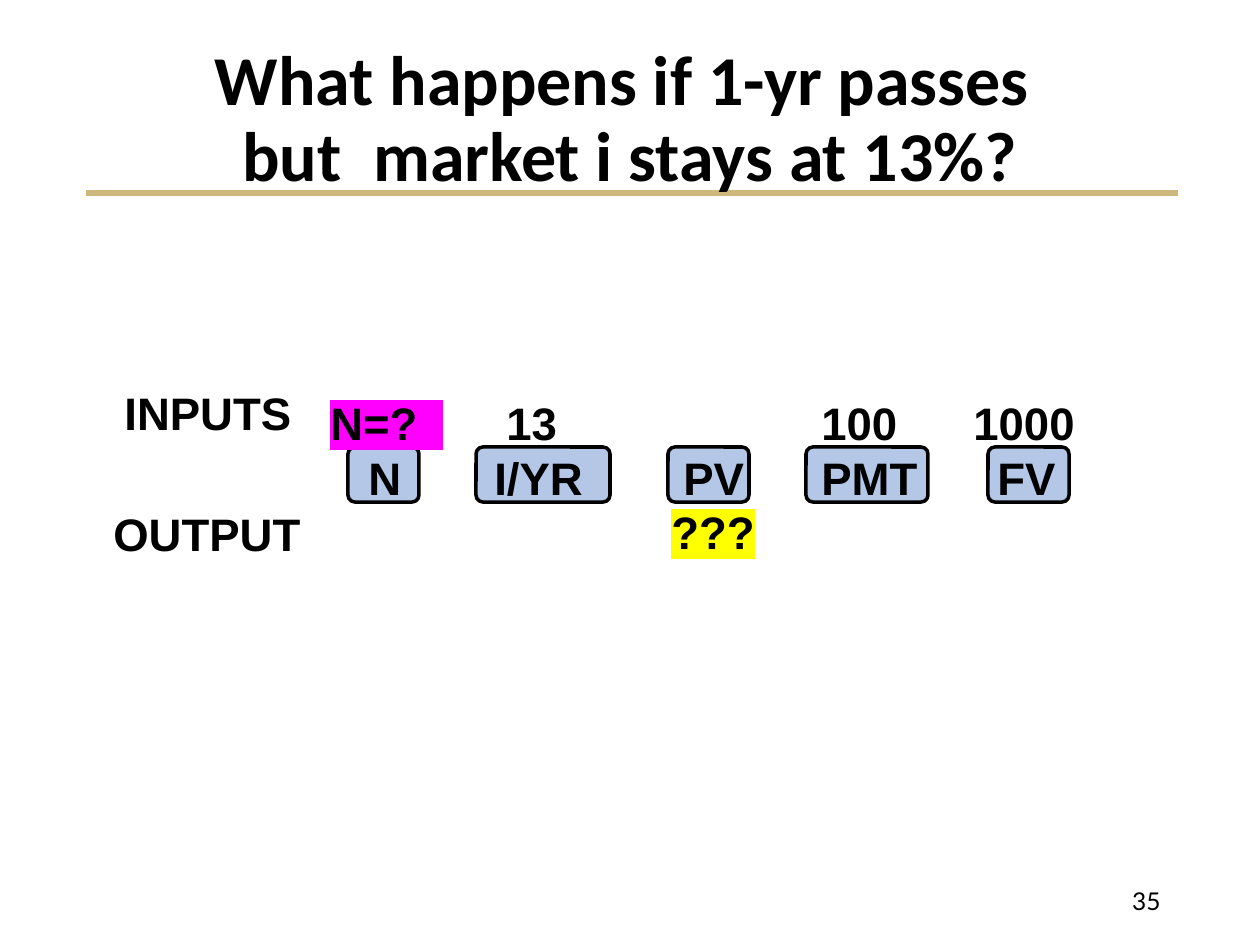
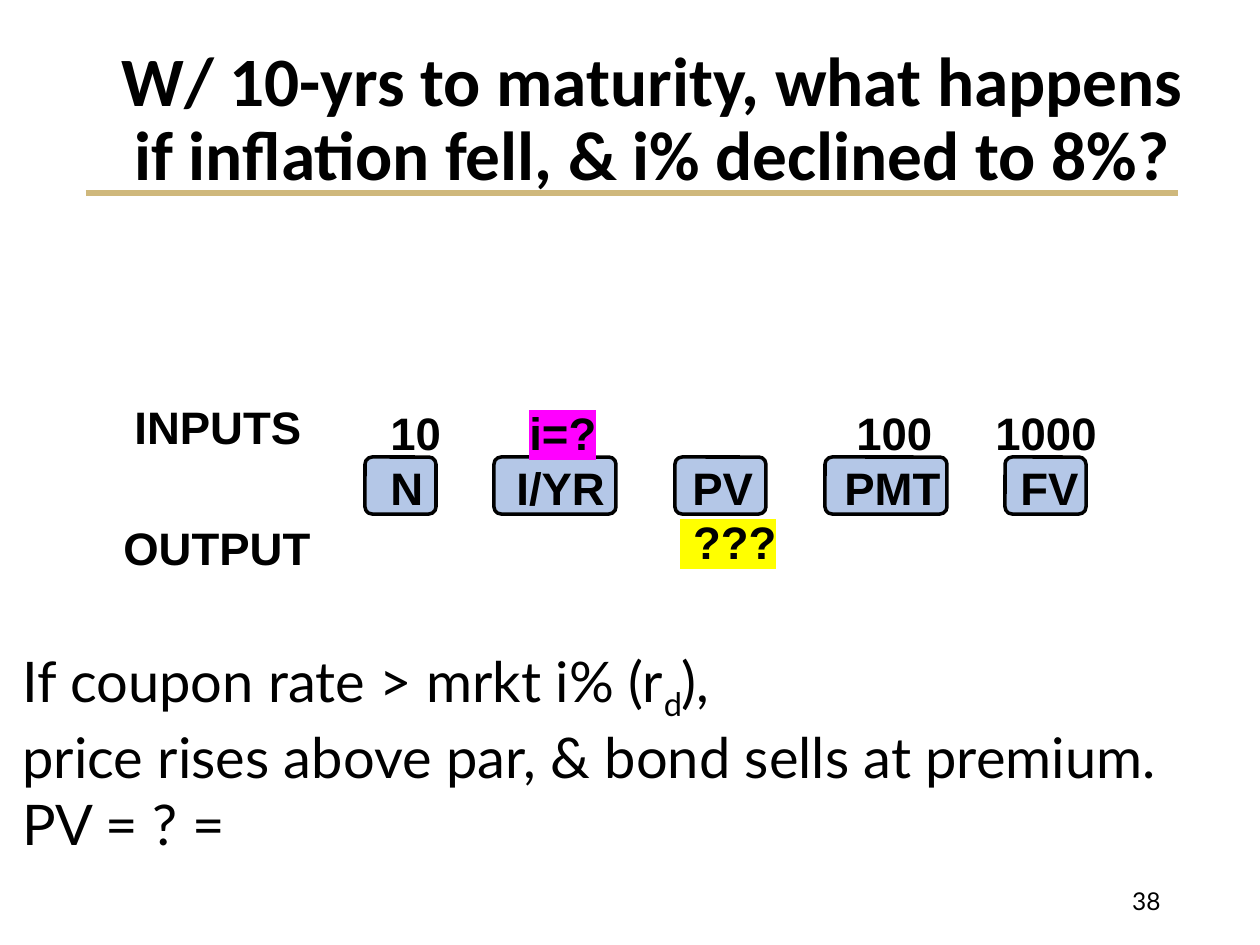
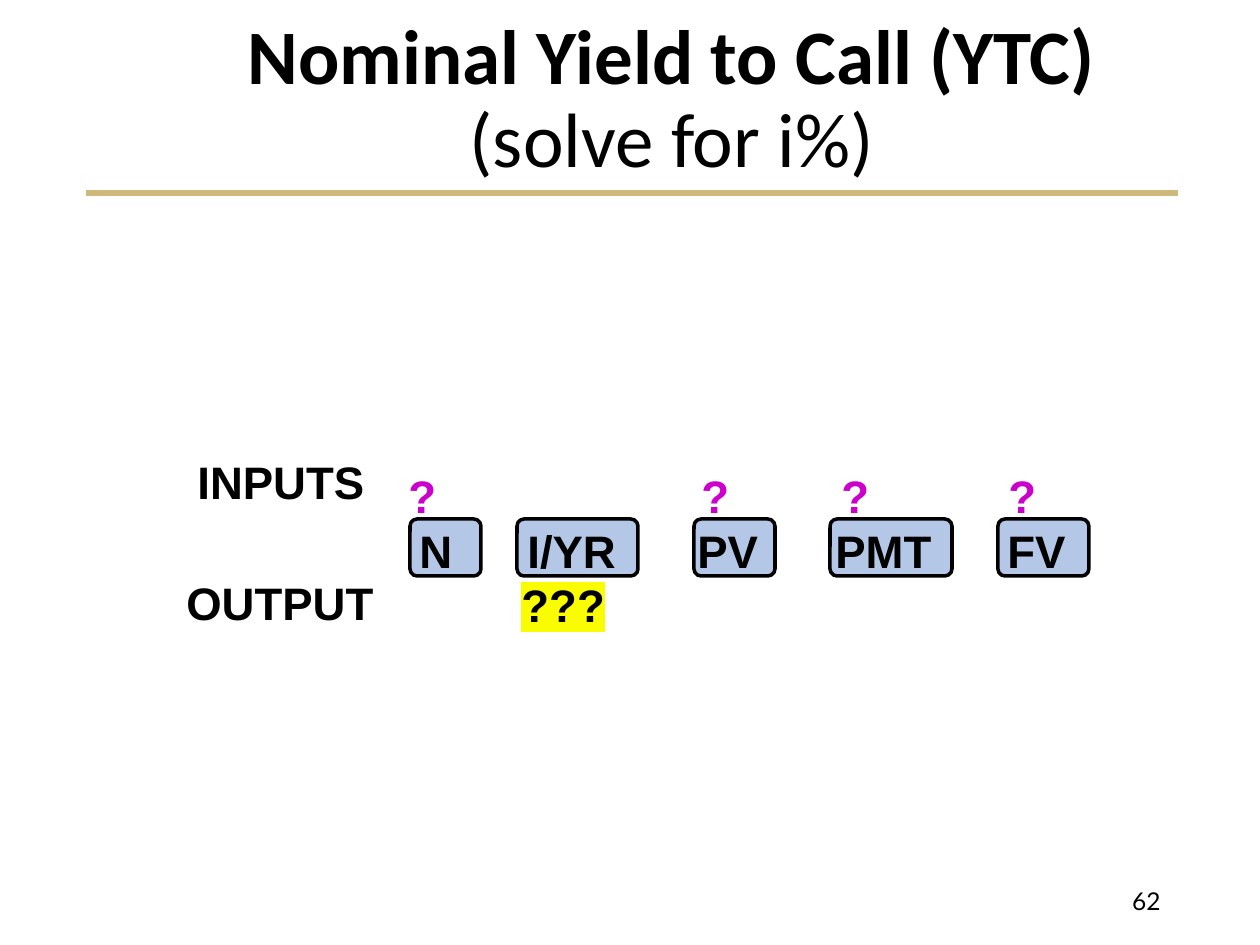
from lxml.etree import SubElement
from pptx import Presentation
from pptx.dml.color import RGBColor
from pptx.enum.shapes import MSO_CONNECTOR, MSO_SHAPE
from pptx.enum.text import MSO_ANCHOR, PP_ALIGN
from pptx.oxml.ns import qn
from pptx.util import Emu, Pt

BLACK, GOLD, BLUE = "000000", "CFB87C", "B4C7E7"
MAGENTA, YELLOW, LEMON, PURPLE = "FF00FF", "FFFF00", "FAFD00", "CC00CC"
KEYS = ["N", "I/YR", "PV", "PMT", "FV"]


def px(n):
    return Emu(round(n * 914400 / 126))


def color(value):
    return RGBColor.from_string(value)


class Deck:
    title_font, body_font, key_font = "Calibri", "Lato", "Arial"
    inset = 13

    def __init__(self):
        self.prs = Presentation()
        self.prs.slide_width, self.prs.slide_height = px(1260), px(945)
        self.s = None

    def slide(self, number):
        self.s = self.prs.slides.add_slide(self.prs.slide_layouts[6])
        line = self.s.shapes.add_connector(
            MSO_CONNECTOR.STRAIGHT, px(86), px(193), px(1178), px(193))
        line.line.color.rgb = color(GOLD)
        line.line.width = Pt(3)
        SubElement(line._element.spPr, qn("a:effectLst"))
        p = self.box(890, 876, 283, 50, MSO_ANCHOR.MIDDLE).paragraphs[0]
        p.alignment = PP_ALIGN.RIGHT
        self.run(p, str(number), 14, self.body_font)

    def box(self, x, y, w, h, anchor=MSO_ANCHOR.TOP):
        tf = self.s.shapes.add_textbox(px(x), px(y), px(w), px(h)).text_frame
        tf.word_wrap = True
        tf.vertical_anchor = anchor
        return tf

    def run(self, p, text, size, font, bold=False, fill=BLACK, mark=None, base=None):
        r = p.add_run()
        r.text = text
        r.font.size = Pt(size)
        r.font.bold = bold
        r.font.color.rgb = color(fill)
        rPr = r.font._element
        if mark:
            SubElement(SubElement(rPr, qn("a:highlight")), qn("a:srgbClr"), val=mark)
        if base:
            rPr.set("baseline", str(base * 1000))
        r.font.name = font

    def title(self, x, y, w, h, size, *lines):
        p = self.box(x, y, w, h, MSO_ANCHOR.MIDDLE).paragraphs[0]
        p.alignment = PP_ALIGN.CENTER
        p.line_spacing = 0.9
        for i, (text, bold) in enumerate(lines):
            if i:
                p.add_line_break()
            self.run(p, text, size, self.title_font, bold)

    def body(self, x, y, w, h, *paragraphs):
        tf = self.box(x, y, w, h)
        for i, runs in enumerate(paragraphs):
            p = tf.add_paragraph() if i else tf.paragraphs[0]
            for text, base in runs:
                self.run(p, text, 32, self.body_font, base=base)

    def key(self, x, y, w, h):
        sp = self.s.shapes.add_shape(
            MSO_SHAPE.ROUNDED_RECTANGLE, px(x), px(y), px(w), px(h))
        sp.shadow.inherit = False
        sp.adjustments[0] = 0.125
        sp.fill.solid()
        sp.fill.fore_color.rgb = color(BLUE)
        sp.line.color.rgb = color(BLACK)
        sp.line.width = Pt(2)

    def label(self, text, x, y):
        p = self.box(x, y, 230, 78, MSO_ANCHOR.MIDDLE).paragraphs[0]
        p.alignment = PP_ALIGN.CENTER
        self.run(p, text, 26, self.key_font, True)

    def rows(self, x, y, rows):
        tf = self.box(x, y, 1041, 177)
        for i, cells in enumerate(rows):
            p = tf.add_paragraph() if i else tf.paragraphs[0]
            tabs = SubElement(p._p.get_or_add_pPr(), qn("a:tabLst"))
            for stop, text, *style in cells:
                SubElement(tabs, qn("a:tab"), pos=str(px(stop - x - self.inset)), algn="l")
                look = style[0] if style else {}
                self.run(p, "\t", 26, self.key_font, True)
                self.run(p, text, 26, self.key_font, True, **look)

    def calculator(self, x, y, key_y, key_h, keys, key_text, inputs, output, label_at):
        for left, width in keys:
            self.key(left, key_y, width, key_h)
        self.rows(x, y, [inputs, list(zip(key_text, KEYS)), [output]])
        label_x, label_y = label_at
        self.label("INPUTS", label_x, label_y)
        self.label("OUTPUT", label_x - 1, label_y + 121)


def main():
    d = Deck()

    d.slide(35)
    d.calculator(
        103, 389, 447, 55,
        [(348, 71), (476, 134), (668, 81), (806, 122), (988, 81)],
        [369, 495, 684, 822, 998],
        [(331, "N=?  ", {"mark": MAGENTA}), (507, "13"), (822, "100"), (974, "1000")],
        (672, "???", {"mark": YELLOW}), (93, 373))
    d.title(87, 50, 1086, 142, 40,
            ("What happens if 1-yr passes ", True),
            ("but  market i stays at 13%?", True))

    d.slide(38)
    d.title(87, 50, 1131, 142, 39.6,
            ("W/ 10-yrs to maturity, what happens if inflation fell, "
             "& i% declined to 8%?", True))
    d.body(10, 640, 1207, 215,
           [("If coupon rate > mrkt i% (r", None), ("d", -25), ("),", None)],
           [("price rises above par, & bond sells at premium.", None)],
           [("PV = ? =", None)])
    d.calculator(
        126, 399, 457, 57,
        [(365, 71), (494, 122), (675, 91), (825, 122), (1005, 81)],
        [391, 517, 693, 845, 1021],
        [(391, "10"), (530, "i=?", {"mark": MAGENTA}), (857, "100"), (996, "1000")],
        (681, " ???", {"mark": YELLOW}), (103, 387))

    d.slide(62)
    unknown = {"fill": PURPLE}
    d.calculator(
        168, 462, 519, 57,
        [(410, 71), (517, 121), (694, 81), (830, 122), (998, 91)],
        [420, 528, 698, 836, 1008],
        [(left, "?", unknown) for left in (409, 702, 842, 1009)],
        (522, "???", {"mark": LEMON}), (166, 442))
    d.title(84, 0, 1176, 202, 44,
            ("Nominal Yield to Call (YTC)", True), ("(solve for i%)", False))

    d.prs.save("out.pptx")


if __name__ == "__main__":
    main()
